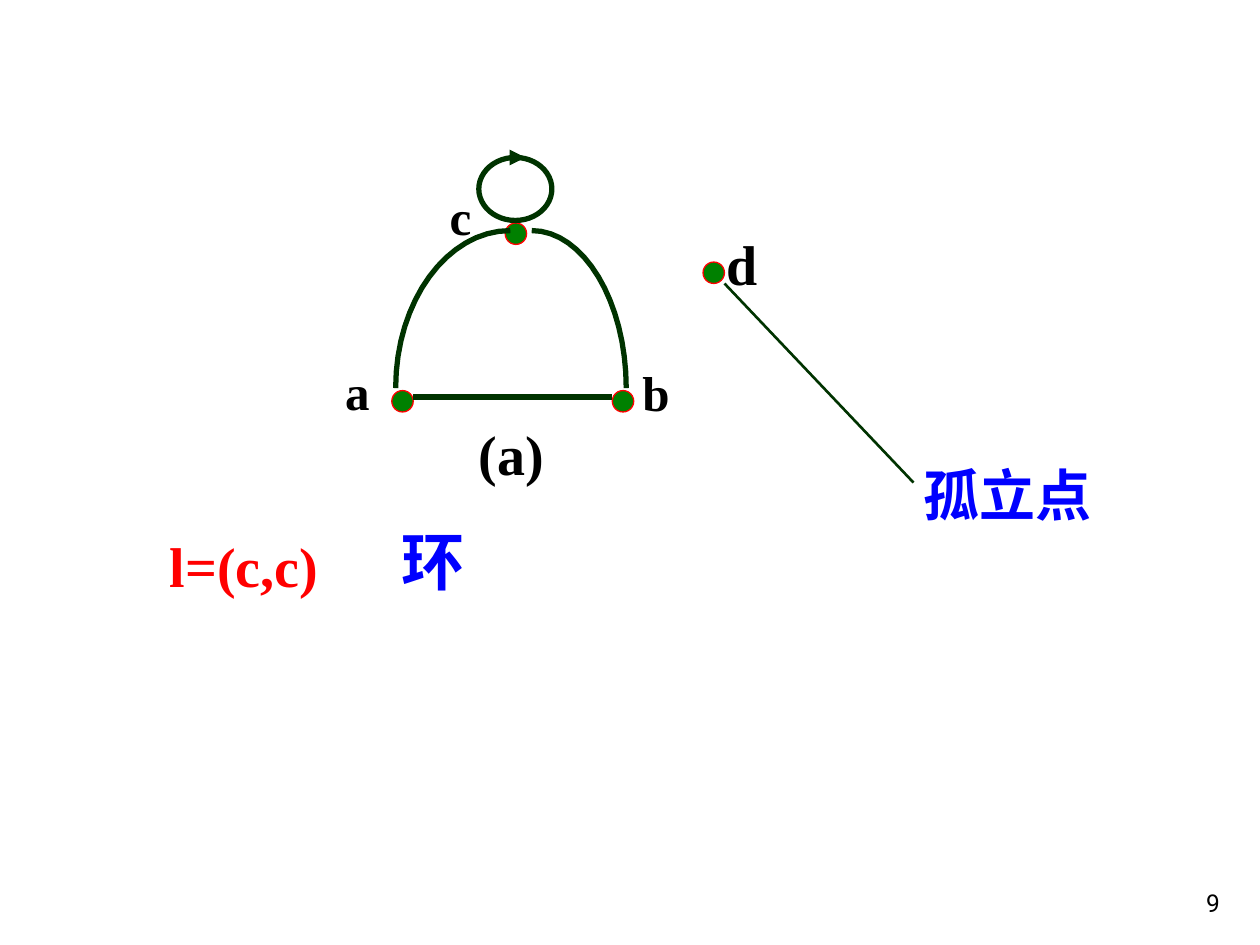
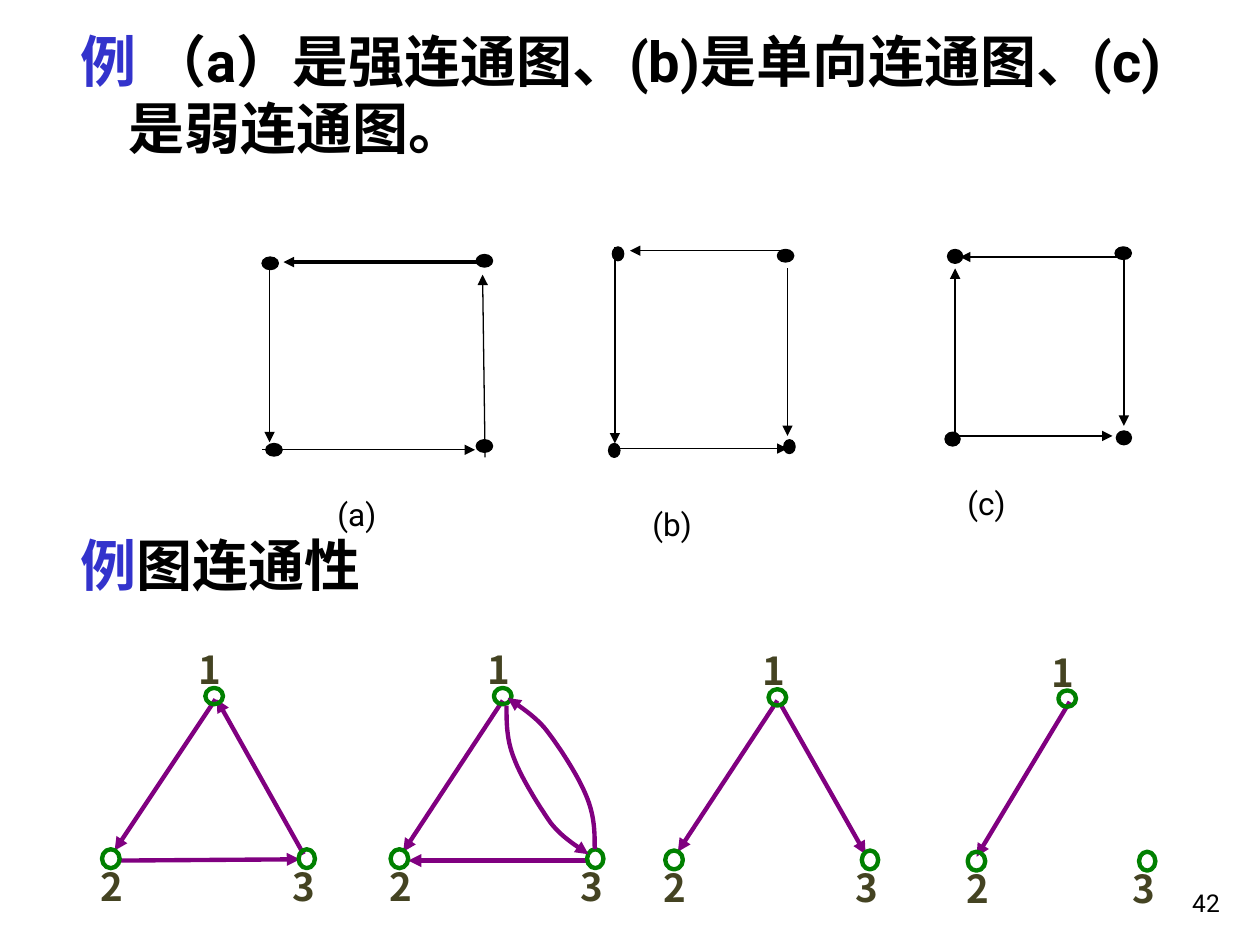
from dataclasses import dataclass
from typing import NamedTuple

from lxml.etree import SubElement
from pptx import Presentation
from pptx.dml.color import RGBColor
from pptx.enum.shapes import MSO_CONNECTOR as Connector, MSO_SHAPE as Preset
from pptx.enum.text import MSO_ANCHOR as Anchor, MSO_AUTO_SIZE as AutoSize, PP_ALIGN as Align
from pptx.oxml.ns import qn
from pptx.util import Inches, Pt


@dataclass(frozen=True)
class Theme:
    black: str = "000000"
    red: str = "FF0000"
    blue: str = "0000FF"
    heading_blue: str = "3333CC"
    edge: str = "003300"
    node: str = "008000"
    arrow: str = "800080"
    vertex_label: str = "444322"
    sans: str = "Roboto"
    serif: str = "Times New Roman"
    cjk: str = "Noto Sans CJK SC"
    term_size: int = 36
    heading_size: int = 32
    node_size: int = 28
    vertex_size: int = 22
    caption_size: int = 18
    number_size: int = 14
    thin: float = 0.75
    pointer: float = 1.5
    bold_line: float = 2
    medium: float = 2.5
    thick: float = 3
    indent: float = 0.38


THEME = Theme()


class Point(NamedTuple):
    x: float
    y: float


class Area(NamedTuple):
    left: float
    top: float
    width: float
    height: float

    def lengths(self) -> list:
        return [Inches(value) for value in self]


class Line(NamedTuple):
    start: Point
    end: Point
    width: float = THEME.thin


class Label(NamedTuple):
    text: str
    area: Area
    size: int
    color: str = THEME.black
    font: str = THEME.serif


@dataclass(frozen=True)
class SquareGraph:
    caption: Label
    dots: list[Area]
    arrows: list[Line]


@dataclass(frozen=True)
class TriangleGraph:
    """Vertex 2 is at left and top; 1 and 3 lie apex and base to its right."""
    left: float
    top: float
    arrows: list[Line]
    apex: float = 0.82
    base: float = 1.56


def line(x1: float, y1: float, x2: float, y2: float, width: float = THEME.thin) -> Line:
    return Line(Point(x1, y1), Point(x2, y2), width)


def rgb(color: str) -> RGBColor:
    return RGBColor.from_string(color)


def format_line(shape, color: str, width: float, arrow: bool = False) -> None:
    shape.line.color.rgb = rgb(color)
    shape.line.width = Pt(width)
    if arrow:
        SubElement(shape.line._get_or_add_ln(), qn("a:tailEnd"), type="triangle")


def add_span(para, text: str, *, size: int, color: str, font: str, bold: bool) -> None:
    span = para.add_run()
    span.text = text
    span.font.size = Pt(size)
    span.font.bold = bold
    span.font.name = font
    span.font.color.rgb = rgb(color)
    SubElement(span._r.get_or_add_rPr(), qn("a:ea"), typeface=font)


def write(box, *texts: str, size: int, colors: tuple = (THEME.black,), font: str = THEME.sans,
          bold: bool = False, wrap: bool = True, align=Align.LEFT, anchor=Anchor.TOP,
          indent: float = 0, spacing: float = 1) -> None:
    """Fill a box with one paragraph; each text takes the colour at its place."""
    frame = box.text_frame
    frame.auto_size = AutoSize.NONE
    frame.word_wrap = wrap
    frame.vertical_anchor = anchor
    para = frame.paragraphs[0]
    para.alignment = align
    para.line_spacing = spacing
    para.space_before = Pt(0)
    if indent:
        properties = para._p.get_or_add_pPr()
        properties.set("marL", str(Inches(indent)))
        properties.set("indent", str(-Inches(indent)))
    for text, color in zip(texts, colors):
        add_span(para, text, size=size, color=color, font=font, bold=bold)


def add_text(page, area: Area, *texts: str, **style) -> None:
    write(page.shapes.add_textbox(*area.lengths()), *texts, **style)


def add_line(page, route: Line, color: str, arrow: bool = True) -> None:
    ends = [Inches(value) for value in (*route.start, *route.end)]
    connector = page.shapes.add_connector(Connector.STRAIGHT, *ends)
    format_line(connector, color, route.width, arrow)
    SubElement(connector._element.spPr, qn("a:effectLst"))


def add_ellipse(page, area: Area, line_color: str, width: float, fill: str | None = None) -> None:
    ellipse = page.shapes.add_shape(Preset.OVAL, *area.lengths())
    ellipse.shadow.inherit = False
    format_line(ellipse, line_color, width)
    if fill:
        ellipse.fill.solid()
        ellipse.fill.fore_color.rgb = rgb(fill)
    else:
        ellipse.fill.background()


def bezier(controls: list[Point], steps: int = 16) -> list[Point]:
    """Points along joined cubic curves, which share their end points."""
    points = [controls[0]]
    for first in range(0, len(controls) - 1, 3):
        piece = controls[first:first + 4]
        for step in range(1, steps + 1):
            t = step / steps
            weights = ((1 - t) ** 3, 3 * t * (1 - t) ** 2, 3 * t * t * (1 - t), t ** 3)
            points.append(Point(sum(w * p.x for w, p in zip(weights, piece)),
                                sum(w * p.y for w, p in zip(weights, piece))))
    return points


def add_curve(page, controls: list[Point], color: str, width: float, arrow: bool = False) -> None:
    start, *others = [(Inches(p.x), Inches(p.y)) for p in bezier(controls)]
    builder = page.shapes.build_freeform(*start)
    builder.add_line_segments(others, close=False)
    curve = builder.convert_to_shape()
    curve.shadow.inherit = False
    curve.fill.background()
    format_line(curve, color, width, arrow)


def add_page_number(page, number: int) -> None:
    add_text(page, Area(7.7, 6.83, 2.08, 0.5), str(number), size=THEME.number_size,
             align=Align.RIGHT, anchor=Anchor.BOTTOM)


NODES = [Point(4.86, 3.1), Point(3.11, 3.1), Point(4.01, 1.77), Point(5.58, 2.08)]
NODE_SIZE = 0.17
LOOP_LABELS = [
    Label("c", Area(3.47, 1.43, 0.37, 0.57), THEME.node_size),
    Label("a", Area(2.64, 2.82, 0.39, 0.57), THEME.node_size),
    Label("b", Area(5, 2.83, 0.41, 0.57), THEME.node_size),
    Label("(a)", Area(3.7, 3.28, 0.72, 0.64), THEME.heading_size),
    Label("d", Area(5.67, 1.77, 0.45, 0.64), THEME.heading_size),
    Label("l=(c,c)", Area(1.25, 4.17, 1.38, 0.64), THEME.heading_size, THEME.red),
    Label("环", Area(3.09, 4.1, 0.7, 0.7), THEME.term_size, THEME.blue, THEME.sans),
    Label("孤立点", Area(7.23, 3.61, 1.53, 0.64), THEME.heading_size, THEME.blue, THEME.sans),
]
SIDE_CURVES = [
    [Point(4.22, 1.83), Point(4.63, 1.83), Point(4.97, 2.39), Point(4.97, 3.08)],
    [Point(4.05, 1.83), Point(3.55, 1.83), Point(3.14, 2.39), Point(3.14, 3.08)],
]

SQUARES = [
    SquareGraph(
        Label("(a)", Area(2.58, 3.88, 0.67, 0.4), THEME.caption_size),
        [Area(x, y, 0.13, 0.1) for x, y in
         ((2.08, 2.04), (2.11, 3.52), (3.78, 3.49), (3.78, 2.02))],
        [line(2.14, 2.04, 2.14, 3.51), line(2.08, 3.57, 3.77, 3.57),
         line(3.85, 3.63, 3.83, 2.18), line(3.83, 2.08, 2.25, 2.08, THEME.bold_line)]),
    SquareGraph(
        Label("(b)", Area(5.08, 3.96, 0.67, 0.4), THEME.caption_size),
        [*(Area(x, y, 0.09, 0.11) for x, y in ((4.86, 1.96), (4.83, 3.52), (6.22, 3.49))),
         Area(6.17, 1.98, 0.13, 0.1)],
        [line(4.88, 1.96, 4.88, 3.52), line(4.85, 3.56, 6.25, 3.56),
         line(6.25, 2.13, 6.25, 3.46), line(6.25, 1.99, 5, 1.99)]),
    SquareGraph(
        Label("(c)", Area(7.58, 3.79, 0.58, 0.4), THEME.caption_size),
        [*(Area(x, y, 0.12, 0.11) for x, y in ((7.5, 3.43), (8.86, 3.42), (7.52, 1.98))),
         Area(8.85, 1.96, 0.13, 0.1)],
        [line(8.92, 1.96, 8.92, 3.38), line(7.58, 3.46, 8.83, 3.46),
         line(7.58, 3.46, 7.58, 2.13), line(8.87, 2.04, 7.62, 2.04)]),
]

TRIANGLES = [
    TriangleGraph(0.81, 6.74, [line(2.41, 6.78, 1.72, 5.55, THEME.medium),
                               line(1.71, 5.55, 0.91, 6.75, THEME.medium),
                               line(0.95, 6.83, 2.38, 6.82, THEME.medium)]),
    TriangleGraph(3.1, 6.74, [line(3.99, 5.56, 3.2, 6.76, THEME.medium),
                              line(4.67, 6.83, 3.24, 6.83, THEME.medium)]),
    TriangleGraph(5.28, 6.75, [line(6.19, 5.58, 6.87, 6.78, THEME.medium),
                               line(6.17, 5.56, 5.38, 6.76, THEME.medium)]),
    TriangleGraph(7.68, 6.76, [line(8.49, 5.57, 7.75, 6.8, THEME.medium)],
                  apex=0.72, base=1.36),
]
TRIANGLE_HEIGHT = 1.28
CURVED_ARROWS = [
    [Point(4.02, 5.6), Point(4.02, 5.74), Point(4.02, 5.87), Point(4.08, 6.02),
     Point(4.14, 6.18), Point(4.28, 6.4), Point(4.37, 6.53),
     Point(4.47, 6.66), Point(4.62, 6.74), Point(4.67, 6.78)],
    [Point(4.72, 6.74), Point(4.72, 6.61), Point(4.72, 6.47), Point(4.65, 6.31),
     Point(4.59, 6.16), Point(4.44, 5.93), Point(4.34, 5.8),
     Point(4.24, 5.67), Point(4.08, 5.58), Point(4.03, 5.54)],
]


def draw_square(page, graph: SquareGraph) -> None:
    for dot in graph.dots:
        add_ellipse(page, dot, THEME.black, THEME.thin, fill=THEME.black)
    for arrow in graph.arrows:
        add_line(page, arrow, THEME.black)
    add_text(page, graph.caption.area, graph.caption.text, size=graph.caption.size)


def draw_triangle(page, graph: TriangleGraph) -> None:
    for arrow in graph.arrows:
        add_line(page, arrow, THEME.arrow)
    apex_left, base_left = graph.left + graph.apex, graph.left + graph.base
    apex_top = graph.top - TRIANGLE_HEIGHT
    vertices = [
        ("1", Area(apex_left, apex_top, 0.14, 0.13), Point(apex_left - 0.15, apex_top - 0.34)),
        ("2", Area(graph.left, graph.top, 0.14, 0.15), Point(graph.left - 0.11, graph.top + 0.1)),
        ("3", Area(base_left, graph.top, 0.13, 0.15), Point(base_left - 0.15, graph.top + 0.1)),
    ]
    for name, dot, corner in vertices:
        add_ellipse(page, dot, THEME.node, THEME.medium)
        add_text(page, Area(*corner, 0.43, 0.43), name, size=THEME.vertex_size, bold=True,
                 colors=(THEME.vertex_label,), font=THEME.cjk, spacing=0.9)


def build_loop_page(deck) -> None:
    page = deck.slides.add_slide(deck.slide_layouts[6])
    for corner in NODES:
        add_ellipse(page, Area(*corner, NODE_SIZE, NODE_SIZE), THEME.red, THEME.thin, THEME.node)
    add_line(page, line(3.28, 3.15, 4.86, 3.15, THEME.thick), THEME.edge, arrow=False)
    for controls in SIDE_CURVES:
        add_curve(page, controls, THEME.edge, THEME.thick)
    add_ellipse(page, Area(3.8, 1.25, 0.58, 0.5), THEME.edge, THEME.thick)
    add_line(page, line(4.08, 1.25, 4.17, 1.25, THEME.thick), THEME.edge)
    add_line(page, line(5.75, 2.25, 7.25, 3.83, THEME.pointer), THEME.edge, arrow=False)
    for label in LOOP_LABELS:
        add_text(page, label.area, label.text, size=label.size, colors=(label.color,),
                 font=label.font, bold=True, wrap=False)
    add_page_number(page, 9)


def build_connectivity_page(deck) -> None:
    page = deck.slides.add_slide(deck.slide_layouts[5])
    heading = dict(size=THEME.heading_size, colors=(THEME.heading_blue, THEME.black),
                   bold=True, indent=THEME.indent)
    title = page.shapes.title
    title.left, title.top, title.width, title.height = Area(0.54, 0.16, 8.79, 1.46).lengths()
    write(title, "例 ", "（a）是强连通图、(b)是单向连通图、(c)是弱连通图。", **heading)
    for square in SQUARES:
        draw_square(page, square)
    add_text(page, Area(0.54, 4.16, 8.5, 1.46), "例", "图连通性", **heading)
    for triangle in TRIANGLES:
        draw_triangle(page, triangle)
    for controls in CURVED_ARROWS:
        add_curve(page, controls, THEME.arrow, THEME.medium, arrow=True)
    add_page_number(page, 42)


def main() -> None:
    deck = Presentation()
    deck.slide_width, deck.slide_height = Inches(10), Inches(7.5)
    build_loop_page(deck)
    build_connectivity_page(deck)
    deck.save("out.pptx")


if __name__ == "__main__":
    main()
